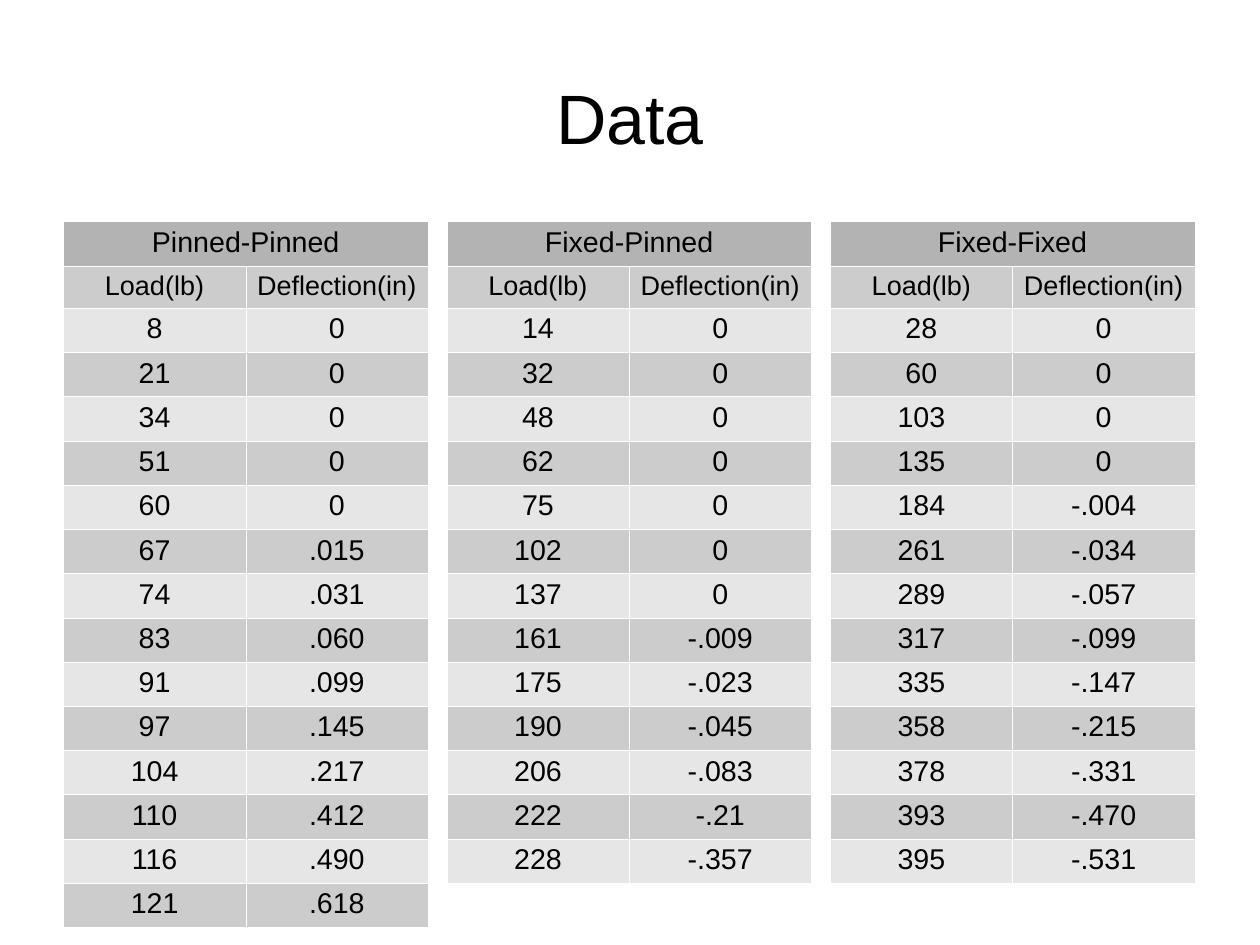
from dataclasses import dataclass
from lxml.etree import SubElement
from pptx import Presentation
from pptx.dml.color import RGBColor
from pptx.enum.text import MSO_ANCHOR, PP_ALIGN
from pptx.oxml.ns import qn
from pptx.util import Cm, Pt

TITLE = "Data"
HEADS = ("Load(lb)", "Deflection(in)")
# Name, total height in cm, rows of load and deflection
TESTS = [
    ("Pinned-Pinned", 15.48, [
        ("8", "0"), ("21", "0"), ("34", "0"), ("51", "0"), ("60", "0"),
        ("67", ".015"), ("74", ".031"), ("83", ".060"), ("91", ".099"),
        ("97", ".145"), ("104", ".217"), ("110", ".412"), ("116", ".490"),
        ("121", ".618")]),
    ("Fixed-Pinned", 14.44, [
        ("14", "0"), ("32", "0"), ("48", "0"), ("62", "0"), ("75", "0"),
        ("102", "0"), ("137", "0"), ("161", "-.009"), ("175", "-.023"),
        ("190", "-.045"), ("206", "-.083"), ("222", "-.21"),
        ("228", "-.357")]),
    ("Fixed-Fixed", 14.44, [
        ("28", "0"), ("60", "0"), ("103", "0"), ("135", "0"),
        ("184", "-.004"), ("261", "-.034"), ("289", "-.057"),
        ("317", "-.099"), ("335", "-.147"), ("358", "-.215"),
        ("378", "-.331"), ("393", "-.470"), ("395", "-.531")]),
]


@dataclass(frozen=True)
class Theme:
    font: str = "Arial"
    ink: str = "000000"
    top: str = "B3B3B3"
    bands: tuple = ("E6E6E6", "CCCCCC")
    rule: str = "FFFFFF"
    rule_pt: float = 0.06
    title_pt: int = 44
    body_pt: int = 18
    head_pt: int = 17


THEME = Theme()
LEFT, TOP, STEP = 1.41, 4.92, 8.52
COL, HEAD_ROW = 4.05, 0.93
PAD_X, PAD_Y = 0.25, 0.11


def write(frame, text, size):
    para = frame.paragraphs[0]
    para.alignment = PP_ALIGN.CENTER
    run = para.add_run()
    run.text = text
    run.font.name = THEME.font
    run.font.size = Pt(size)
    run.font.color.rgb = RGBColor.from_string(THEME.ink)


def style(cell, fill):
    """Give a cell its margins, thin borders and fill."""
    cell.margin_left = cell.margin_right = Cm(PAD_X)
    cell.margin_top = cell.margin_bottom = Cm(PAD_Y)
    cell.vertical_anchor = MSO_ANCHOR.TOP
    props = cell._tc.get_or_add_tcPr()
    for side in ("lnL", "lnR", "lnT", "lnB"):
        line = SubElement(props, qn(f"a:{side}"), w=str(Pt(THEME.rule_pt)))
        paint = SubElement(line, qn("a:solidFill"))
        SubElement(paint, qn("a:srgbClr"), val=THEME.rule)
    cell.fill.solid()
    cell.fill.fore_color.rgb = RGBColor.from_string(fill)


def add_test(slide, left, name, height, data):
    rows = [(name, ""), HEADS, *data]
    frame = slide.shapes.add_table(
        len(rows), 2, Cm(left), Cm(TOP), Cm(2 * COL), Cm(height))
    table = frame.table
    table.first_row = table.horz_banding = False
    for col in table.columns:
        col.width = Cm(COL)
    row_high = (height - HEAD_ROW) / (len(rows) - 1)
    for r, texts in enumerate(rows):
        table.rows[r].height = Cm(HEAD_ROW if r == 1 else row_high)
        size = THEME.head_pt if r == 1 else THEME.body_pt
        fill = THEME.bands[r % 2] if r else THEME.top
        for c, text in enumerate(texts):
            cell = table.cell(r, c)
            style(cell, fill)
            if text:
                write(cell.text_frame, text, size)
    table.cell(0, 0).merge(table.cell(0, 1))


def add_title(slide):
    box = slide.shapes.add_textbox(Cm(1.4), Cm(0.84), Cm(25.2), Cm(3.5))
    frame = box.text_frame
    frame.word_wrap = True
    frame.vertical_anchor = MSO_ANCHOR.MIDDLE
    frame.margin_left = frame.margin_right = 0
    frame.margin_top = frame.margin_bottom = 0
    write(frame, TITLE, THEME.title_pt)


def main():
    deck = Presentation()
    deck.slide_width, deck.slide_height = Cm(28), Cm(21)
    slide = deck.slides.add_slide(deck.slide_layouts[6])
    add_title(slide)
    for i, test in enumerate(TESTS):
        add_test(slide, LEFT + i * STEP, *test)
    deck.save("out.pptx")


if __name__ == "__main__":
    main()
